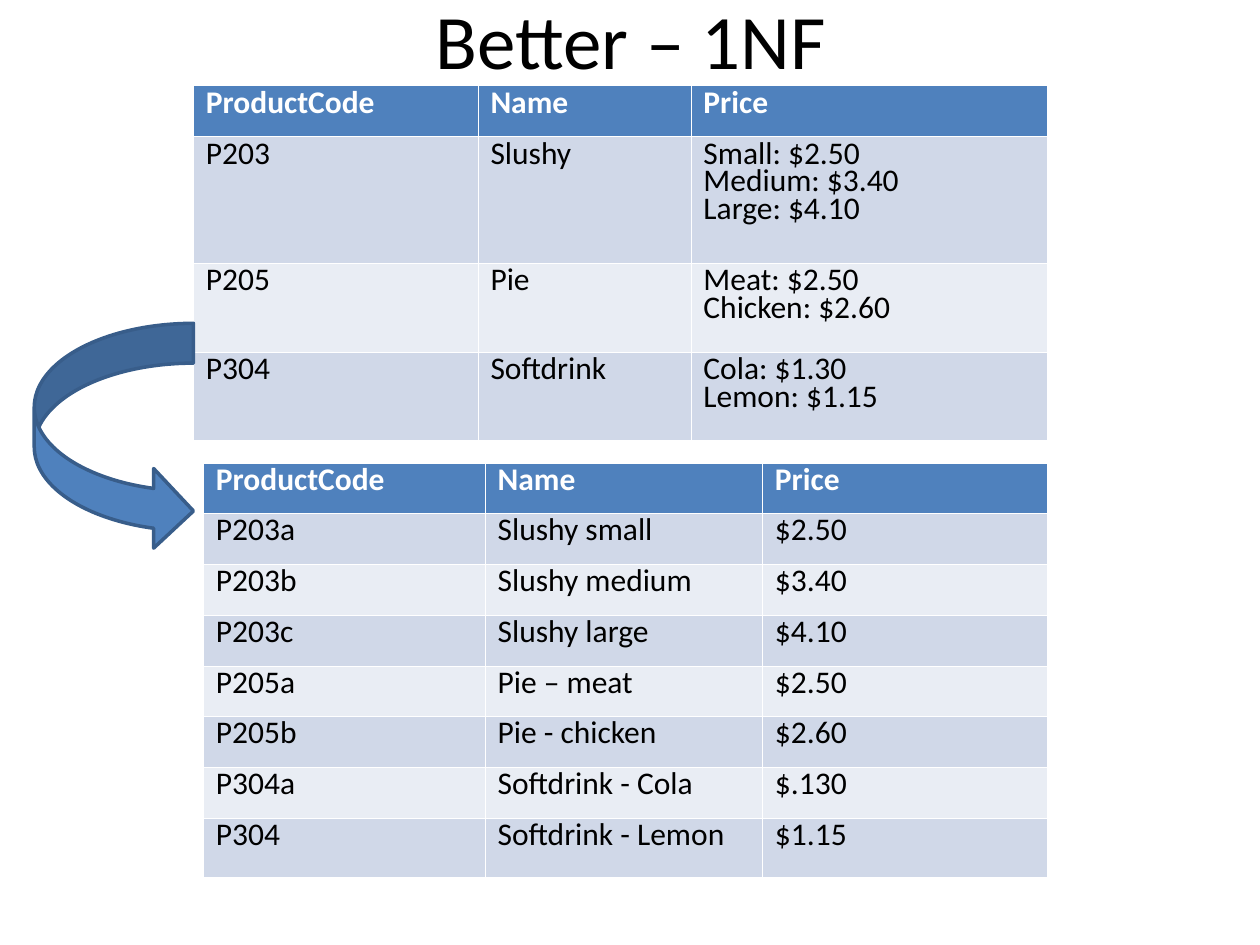
from dataclasses import dataclass

from lxml import etree
from pptx import Presentation
from pptx.dml.color import RGBColor
from pptx.enum.shapes import MSO_SHAPE
from pptx.enum.text import MSO_ANCHOR, PP_ALIGN
from pptx.oxml.ns import qn
from pptx.util import Pt

ARROW = MSO_SHAPE.CURVED_RIGHT_ARROW
MIDDLE = MSO_ANCHOR.MIDDLE
LEFT, CENTER = PP_ALIGN.LEFT, PP_ALIGN.CENTER
BLACK, WHITE, BLUE, EDGE = "000000", "FFFFFF", "4F81BD", "385D8A"
BANDS = ("D0D8E8", "E9EDF4")
THIN, THICK = 0.11, 0.34


@dataclass
class Grid:
    left: float
    top: float
    cols: list[float]
    rows: list[float]
    cells: list[tuple[str, ...]]


HEAD = ("ProductCode", "Name", "Price")

GRIDS = [
    Grid(116.2, 264.4, [161, 158.5, 162.7], [29] * 7 + [33.6], [
        HEAD,
        ("P203a", "Slushy small", "$2.50"),
        ("P203b", "Slushy medium", "$3.40"),
        ("P203c", "Slushy large", "$4.10"),
        ("P205a", "Pie – meat", "$2.50"),
        ("P205b", "Pie - chicken", "$2.60"),
        ("P304a", "Softdrink - Cola", "$.130"),
        ("P304", "Softdrink - Lemon", "$1.15"),
    ]),
    Grid(110.5, 48.9, [162.6, 121.7, 203.5], [29.2, 72.4, 50.6, 50.6], [
        HEAD,
        ("P203", "Slushy", "Small: $2.50\nMedium: $3.40\nLarge: $4.10"),
        ("P205", "Pie", "Meat: $2.50\nChicken: $2.60"),
        ("P304", "Softdrink", "Cola: $1.30\nLemon: $1.15"),
    ]),
]


def color(code: str) -> RGBColor:
    return RGBColor.from_string(code)


def write(frame, text: str, *, size: float = 18, ink: str = BLACK,
          bold: bool = False, align=LEFT, lead: float = 1.0) -> None:
    """Fill a text frame, one paragraph for each line."""
    frame.text = text
    for para in frame.paragraphs:
        para.alignment = align
        para.line_spacing = lead
        para.space_before = para.space_after = Pt(0.3)
        for run in para.runs:
            font = run.font
            font.name, font.size, font.bold = "Calibri", Pt(size), bold
            font.color.rgb = color(ink)


def border(cell, side: str, width: float) -> None:
    props = cell._tc.get_or_add_tcPr()
    line = etree.SubElement(props, qn(f"a:ln{side}"), w=str(Pt(width)))
    fill = etree.SubElement(line, qn("a:solidFill"))
    etree.SubElement(fill, qn("a:srgbClr"), val=WHITE)


def draw_grid(slide, grid: Grid) -> None:
    frame = slide.shapes.add_table(
        len(grid.rows), len(grid.cols), Pt(grid.left), Pt(grid.top),
        Pt(sum(grid.cols)), Pt(sum(grid.rows)))
    table = frame.table
    for col, width in zip(table.columns, grid.cols):
        col.width = Pt(width)
    for row, high in zip(table.rows, grid.rows):
        row.height = Pt(high)
    for r, texts in enumerate(grid.cells):
        head = r == 0
        for c, text in enumerate(texts):
            cell = table.cell(r, c)
            write(cell.text_frame, text, ink=WHITE if head else BLACK,
                  bold=head, lead=0.69)
            # Borders come before the fill in the cell's XML
            for side in "LRTB":
                thick = (r, side) in ((0, "B"), (1, "T"))
                border(cell, side, THICK if thick else THIN)
            cell.fill.solid()
            cell.fill.fore_color.rgb = color(BLUE if head else BANDS[(r - 1) % 2])


def draw_title(slide, text: str) -> None:
    box = slide.shapes.add_textbox(Pt(36.7), Pt(0), Pt(648), Pt(44))
    frame = box.text_frame
    frame.word_wrap = True
    frame.vertical_anchor = MIDDLE
    write(frame, text, size=44, align=CENTER)


def draw_arrow(slide) -> None:
    arrow = slide.shapes.add_shape(ARROW, Pt(19.6), Pt(184.8), Pt(91), Pt(130))
    arrow.shadow.inherit = False
    arrow.fill.solid()
    arrow.fill.fore_color.rgb = color(BLUE)
    arrow.line.color.rgb = color(EDGE)
    arrow.line.width = Pt(2)


def main() -> None:
    deck = Presentation()
    deck.slide_width, deck.slide_height = Pt(720), Pt(540)
    slide = deck.slides.add_slide(deck.slide_layouts[6])

    # Heading
    draw_title(slide, "Better – 1NF")
    # Normalised table, then the source table above it
    for grid in GRIDS:
        draw_grid(slide, grid)
    # Arrow from the source to the result
    draw_arrow(slide)

    deck.save("out.pptx")


if __name__ == "__main__":
    main()
